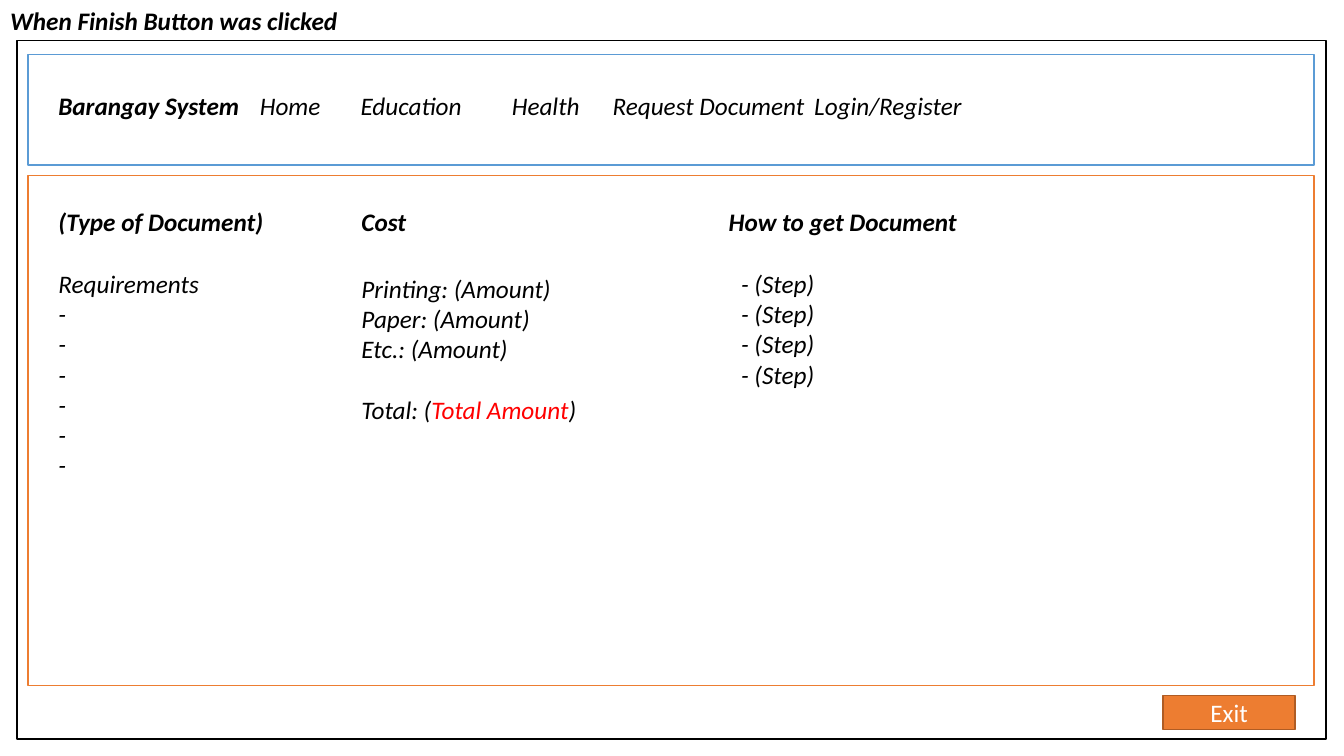
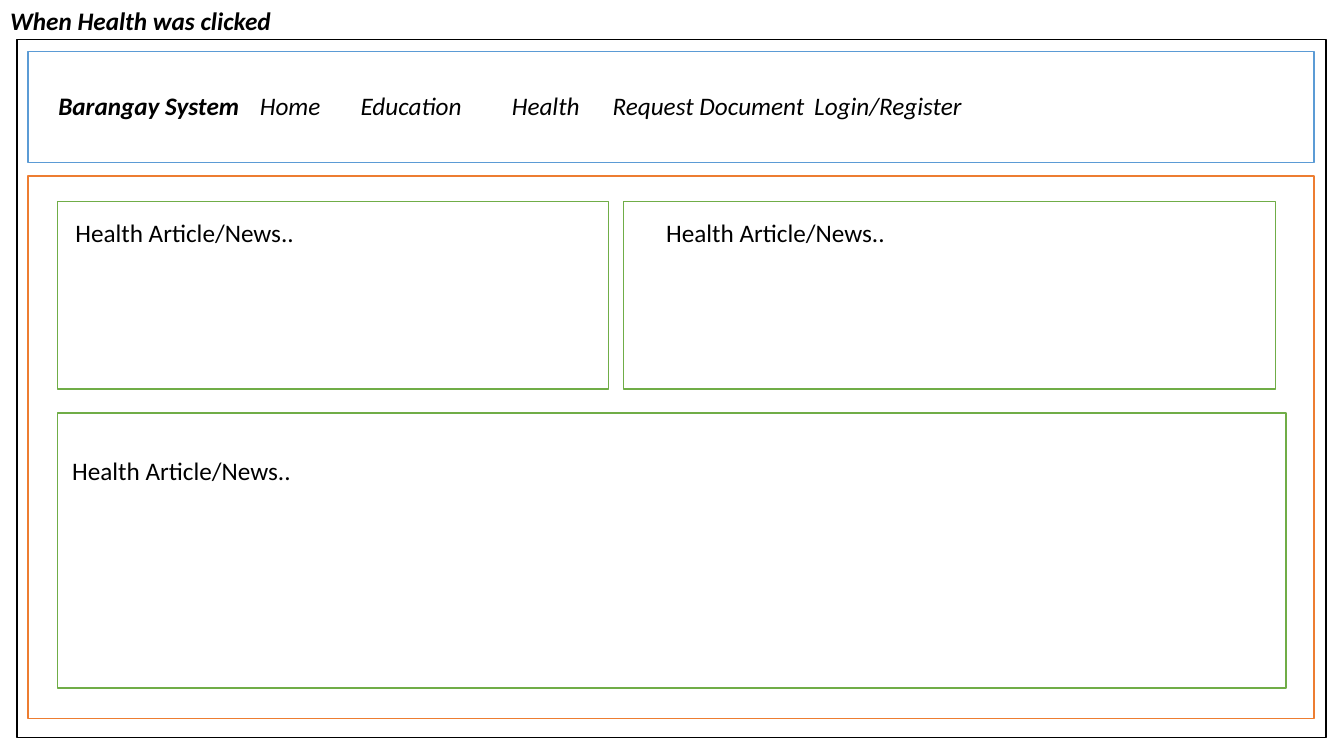
from dataclasses import dataclass
from typing import Any, NamedTuple, Optional

from lxml.etree import SubElement
from pptx import Presentation
from pptx.dml.color import RGBColor
from pptx.enum.shapes import MSO_SHAPE
from pptx.enum.text import MSO_ANCHOR, MSO_AUTO_SIZE, PP_ALIGN
from pptx.oxml.ns import qn
from pptx.util import Cm, Pt

BLACK = RGBColor(0x00, 0x00, 0x00)
WHITE = RGBColor(0xFF, 0xFF, 0xFF)
RED = RGBColor(0xFF, 0x00, 0x00)
BLUE = RGBColor(0x5B, 0x9B, 0xD5)
ORANGE = RGBColor(0xED, 0x7D, 0x31)
BROWN = RGBColor(0xAF, 0x5C, 0x24)
GREEN = RGBColor(0x70, 0xAD, 0x47)

FONT = {"name": "Calibri", "size": Pt(18)}
FRAME = {"auto_size": MSO_AUTO_SIZE.NONE, "vertical_anchor": MSO_ANCHOR.TOP}
PARAGRAPH = {"alignment": PP_ALIGN.LEFT, "space_before": Pt(0), "space_after": Pt(0)}
NAV_TABS = (7.62, 10.16, 15.24, 17.91, 25.4)
ROW_H = 1.02
LINE_PT = 22


class Box(NamedTuple):
    """Left, top, width and height in centimetres."""
    x: float
    y: float
    w: float
    h: float


class Run(NamedTuple):
    """A stretch of text in one style."""
    text: str
    bold: bool = False
    italic: bool = True
    color: RGBColor = BLACK


@dataclass
class Para:
    """A paragraph with its runs, space before and tab stops."""
    runs: list[Run]
    before: float = 0
    tabs: tuple[float, ...] = ()


@dataclass
class Block:
    """A text block, placed in a placeholder if it has an index."""
    box: Box
    paras: list[Para]
    idx: Optional[int] = None


@dataclass
class Panel:
    """An outlined rectangle."""
    box: Box
    line: RGBColor
    fill: RGBColor = WHITE


def set_attrs(obj: Any, values: dict[str, Any]) -> None:
    """Set each named attribute of an object."""
    for name, value in values.items():
        setattr(obj, name, value)


def place(sp: Any, box: Box) -> None:
    """Move and resize a shape."""
    set_attrs(sp, dict(zip(("left", "top", "width", "height"), map(Cm, box))))


def lines(*texts: str, bold: bool = False, italic: bool = True) -> list[Para]:
    """Make one paragraph of each text."""
    return [Para([Run(text, bold, italic)]) for text in texts]


def fill_text(tf: Any, paras: list[Para], wrap: bool = True) -> None:
    """Write formatted paragraphs into a text frame."""
    set_attrs(tf, {**FRAME, "word_wrap": wrap})
    for i, para in enumerate(paras):
        p = tf.add_paragraph() if i else tf.paragraphs[0]
        set_attrs(p, {**PARAGRAPH, "space_before": Pt(para.before)})
        ppr = p._p.get_or_add_pPr()
        ppr.set("marL", "0")
        ppr.set("indent", "0")
        SubElement(ppr, qn("a:buNone"))
        if para.tabs:
            tabs = SubElement(ppr, qn("a:tabLst"))
            for stop in para.tabs:
                SubElement(tabs, qn("a:tab"), pos=str(int(Cm(stop))), algn="l")
        for run in para.runs:
            r = p.add_run()
            r.text = run.text
            set_attrs(r.font, {**FONT, "bold": run.bold, "italic": run.italic})
            r.font.color.rgb = run.color


def add_panel(s: Any, panel: Panel) -> Any:
    """Draw a rectangle with a thin outline."""
    sp = s.shapes.add_shape(MSO_SHAPE.RECTANGLE, *map(Cm, panel.box))
    sp.shadow.inherit = False
    sp.fill.solid()
    sp.fill.fore_color.rgb = panel.fill
    sp.line.color.rgb = panel.line
    sp.line.width = Pt(1)
    return sp


def add_block(s: Any, block: Block) -> None:
    """Write a block into its placeholder, brought to the front, or a text box."""
    if block.idx is None:
        sp = s.shapes.add_textbox(*map(Cm, block.box))
    else:
        sp = s.placeholders[block.idx]
        place(sp, block.box)
        sp.element.getparent().append(sp.element)
    fill_text(sp.text_frame, block.paras)


def add_button(s: Any, label: str, box: Box) -> None:
    """Draw an orange button with a centred label."""
    sp = add_panel(s, Panel(box, BROWN, ORANGE))
    fill_text(sp.text_frame, [Para([Run(label, italic=False, color=WHITE)])])
    sp.text_frame.vertical_anchor = MSO_ANCHOR.MIDDLE
    sp.text_frame.paragraphs[0].alignment = PP_ALIGN.CENTER


def add_screen(prs: Any, layout: int, title: str, title_w: float,
               frame_y: float, nav_y: float, content: Box) -> Any:
    """Add a slide with its title, window frame, navigation bar and content panel."""
    s = prs.slides.add_slide(prs.slide_layouts[layout])
    place(s.shapes.title, Box(0, 0, title_w, ROW_H))
    fill_text(s.shapes.title.text_frame, lines(title, bold=True), wrap=False)
    for panel in (Panel(Box(0.43, frame_y, 32.99, 17.6), BLACK),
                  Panel(Box(content.x, nav_y, content.w, 2.79), BLUE),
                  Panel(content, ORANGE)):
        add_panel(s, panel)
    menu = "\tHome\tEducation\tHealth\tRequest Document\tLogin/Register"
    nav = Para([Run("Barangay System", bold=True), Run(menu)], tabs=NAV_TABS)
    add_block(s, Block(Box(1.22, 2.16, 31.42, ROW_H), [nav]))
    return s


def build_finish(prs: Any) -> None:
    """Build the screen with requirements, cost and steps."""
    s = add_screen(prs, 4, "When Finish Button was clicked", 8.86,
                   1.02, 1.37, Box(0.71, 4.42, 32.41, 12.85))
    total = Para([Run("Total: ("), Run("Total Amount", color=RED), Run(")")], LINE_PT)
    costs = lines("Printing: (Amount)", "Paper: (Amount)", "Etc.: (Amount)")
    head_y, list_y = 5.08, 6.63
    for block in (
        Block(Box(1.22, head_y, 5.84, ROW_H), lines("(Type of Document)", bold=True), 1),
        Block(Box(1.22, list_y, 5.1, 5.64), lines("Requirements", *["-"] * 6), 2),
        Block(Box(8.86, head_y, 1.85, ROW_H), lines("Cost", bold=True)),
        Block(Box(8.86, 6.76, 6.07, 4.11), [*costs, total]),
        Block(Box(18.11, head_y, 6.4, ROW_H), lines("How to get Document", bold=True), 3),
        Block(Box(18.42, list_y, 10.69, 4.11), lines(*["- (Step)"] * 4), 4),
    ):
        add_block(s, block)
    add_button(s, "Exit", Box(29.31, 17.53, 3.33, 0.86))


def build_health(prs: Any) -> None:
    """Build the screen with three health articles."""
    s = add_screen(prs, 5, "When Health was clicked", 7.16,
                   0.99, 1.3, Box(0.71, 4.44, 32.41, 13.67))
    for box, x, y in (
        (Box(1.45, 5.08, 13.89, 4.72), 1.65, 5.36),
        (Box(15.72, 5.08, 16.43, 4.72), 16.54, 5.36),
        (Box(1.45, 10.41, 30.96, 6.93), 1.57, 11.35),
    ):
        add_panel(s, Panel(box, GREEN))
        add_block(s, Block(Box(x, y, 10.52, ROW_H),
                           lines("Health Article/News..", italic=False)))


def main() -> None:
    """Build and save the presentation."""
    prs = Presentation()
    set_attrs(prs, {"slide_width": Cm(33.87), "slide_height": Cm(19.05)})
    build_finish(prs)
    build_health(prs)
    prs.save("out.pptx")


if __name__ == "__main__":
    main()
